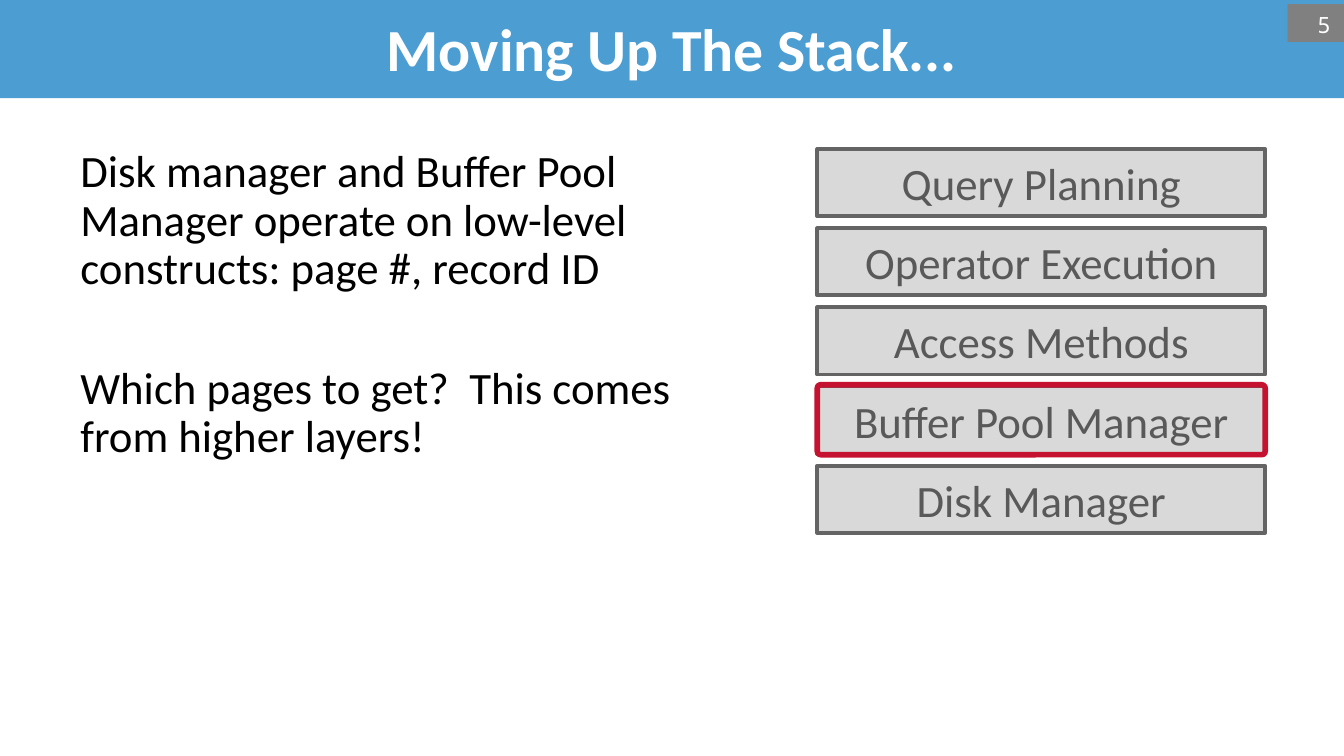
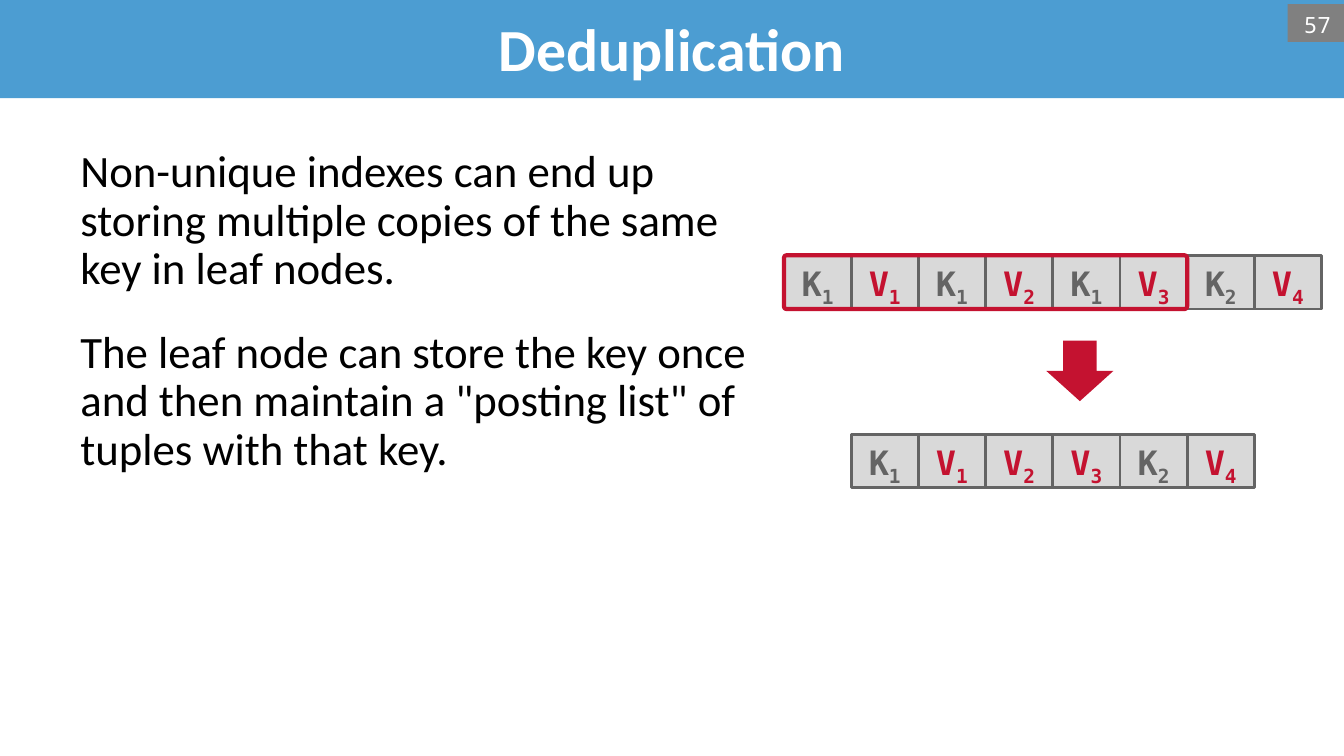
from dataclasses import dataclass

from pptx import Presentation
from pptx.dml.color import RGBColor
from pptx.enum.shapes import MSO_SHAPE
from pptx.enum.text import MSO_ANCHOR, MSO_AUTO_SIZE, PP_ALIGN
from pptx.util import Pt


@dataclass(frozen=True)
class Theme:
    band: RGBColor = RGBColor.from_string("4C9DD2")
    white: RGBColor = RGBColor.from_string("FFFFFF")
    black: RGBColor = RGBColor.from_string("000000")
    badge: RGBColor = RGBColor.from_string("808080")
    box: RGBColor = RGBColor.from_string("D9D9D9")
    outline: RGBColor = RGBColor.from_string("646464")
    label: RGBColor = RGBColor.from_string("595959")
    accent: RGBColor = RGBColor.from_string("C41230")
    text_font: str = "Calibri"
    number_font: str = "Noto Sans Mono"
    cell_font: str = "DejaVu Sans Mono"
    title_size: int = 32
    body_size: int = 24
    cell_size: int = 18
    number_size: int = 12


THEME = Theme()

STACK_SLIDE = {
    "title": "Moving Up The Stack...",
    "number": "5",
    "body": [
        "Disk manager and Buffer Pool Manager operate on low-level constructs: page #, record ID",
        "Which pages to get?  This comes from higher layers!",
    ],
    "gap": 38.4,
}
LAYERS = [
    "Query Planning",
    "Operator Execution",
    "Access Methods",
    "Buffer Pool Manager",
    "Disk Manager",
]
CURRENT_LAYER = "Buffer Pool Manager"

DEDUPLICATION_SLIDE = {
    "title": "Deduplication",
    "number": "57",
    "body": [
        "Non-unique indexes can end up storing multiple copies of the same key in leaf nodes.",
        'The leaf node can store the key once and then maintain a "posting list" of tuples with that key.',
    ],
    "gap": 19.2,
}
LEAF_BEFORE = ["K1", "V1", "K1", "V2", "K1", "V3", "K2", "V4"]
LEAF_AFTER = ["K1", "V1", "V2", "V3", "K2", "V4"]
DUPLICATED_CELLS = 6

SLIDE_WIDTH, SLIDE_HEIGHT = 720, 405
LAYER_LEFT, LAYER_TOP, LAYER_WIDTH, LAYER_HEIGHT = 437.8, 79.9, 240, 36
LAYER_PITCH = 42.4
CELL_WIDTH, CELL_HEIGHT = 36, 28.8
BEFORE_LEFT, BEFORE_TOP = 420, 136.8
AFTER_LEFT, AFTER_TOP = BEFORE_LEFT + CELL_WIDTH, 232.6


def style_font(font, name, size, color, bold=False):
    font.name = name
    font.size = Pt(size)
    font.color.rgb = color
    font.bold = bold


def set_margins(frame, left, top, right, bottom):
    frame.margin_left, frame.margin_top = Pt(left), Pt(top)
    frame.margin_right, frame.margin_bottom = Pt(right), Pt(bottom)


def add_box(shapes, kind, box, fill=None, line=None, line_width=0):
    shape = shapes.add_shape(kind, *map(Pt, box))
    shape.shadow.inherit = False
    if fill is None:
        shape.fill.background()
    else:
        shape.fill.solid()
        shape.fill.fore_color.rgb = fill
    if line is None:
        shape.line.fill.background()
    else:
        shape.line.color.rgb = line
        shape.line.width = Pt(line_width)
    return shape


def add_highlight(slide, box, line_width):
    highlight = add_box(slide.shapes, MSO_SHAPE.ROUNDED_RECTANGLE, box,
                        line=THEME.accent, line_width=line_width)
    highlight.adjustments[0] = 0.05


def add_title(slide, text):
    title = slide.shapes.title
    title.left, title.top, title.width, title.height = map(Pt, (0, -1.4, SLIDE_WIDTH, 54))
    title.fill.solid()
    title.fill.fore_color.rgb = THEME.band
    frame = title.text_frame
    frame.text = text
    frame.auto_size = MSO_AUTO_SIZE.NONE
    frame.vertical_anchor = MSO_ANCHOR.MIDDLE
    paragraph = frame.paragraphs[0]
    paragraph.alignment = PP_ALIGN.CENTER
    style_font(paragraph.font, THEME.text_font, THEME.title_size, THEME.white, True)


def add_body(slide, texts, gap):
    frame = slide.shapes.add_textbox(*map(Pt, (36, 76.3, 374.4, 288))).text_frame
    frame.word_wrap = True
    for index, text in enumerate(texts):
        paragraph = frame.add_paragraph() if index else frame.paragraphs[0]
        paragraph.text = text
        paragraph.line_spacing = 0.9
        if index:
            paragraph.space_before = Pt(gap)
        style_font(paragraph.font, THEME.text_font, THEME.body_size, THEME.black)


def add_number(slide, number):
    badge = add_box(slide.shapes, MSO_SHAPE.RECTANGLE, (689.8, 2.2, 30.2, 20.2), THEME.badge)
    frame = badge.text_frame
    frame.text = number
    frame.vertical_anchor = MSO_ANCHOR.TOP
    paragraph = frame.paragraphs[0]
    paragraph.alignment = PP_ALIGN.RIGHT
    style_font(paragraph.font, THEME.number_font, THEME.number_size, THEME.white)


def add_slide(presentation, content):
    slide = presentation.slides.add_slide(presentation.slide_layouts[5])
    add_title(slide, content["title"])
    add_body(slide, content["body"], content["gap"])
    add_number(slide, content["number"])
    return slide


def add_layers(slide):
    for index, layer in enumerate(LAYERS):
        top = LAYER_TOP + index * LAYER_PITCH
        shape = add_box(slide.shapes, MSO_SHAPE.RECTANGLE,
                        (LAYER_LEFT, top, LAYER_WIDTH, LAYER_HEIGHT),
                        THEME.box, THEME.outline, 2)
        frame = shape.text_frame
        frame.text = layer
        frame.auto_size = MSO_AUTO_SIZE.SHAPE_TO_FIT_TEXT
        frame.vertical_anchor = MSO_ANCHOR.MIDDLE
        set_margins(frame, 3.6, 3.6, 3.6, 3.6)
        paragraph = frame.paragraphs[0]
        paragraph.alignment = PP_ALIGN.CENTER
        style_font(paragraph.font, THEME.text_font, THEME.body_size, THEME.label)
    current_top = LAYER_TOP + LAYERS.index(CURRENT_LAYER) * LAYER_PITCH
    add_highlight(slide, (LAYER_LEFT, current_top - 1, LAYER_WIDTH, LAYER_HEIGHT + 1.5), 3)


def add_leaf(slide, entries, left, top):
    group = slide.shapes.add_group_shape()
    for index, (letter, subscript) in enumerate(entries):
        cell = add_box(group.shapes, MSO_SHAPE.RECTANGLE,
                       (left + index * CELL_WIDTH, top, CELL_WIDTH, CELL_HEIGHT),
                       THEME.box, THEME.outline, 1.5)
        frame = cell.text_frame
        frame.vertical_anchor = MSO_ANCHOR.MIDDLE
        set_margins(frame, 0, 3.6, 0, 0)
        paragraph = frame.paragraphs[0]
        paragraph.alignment = PP_ALIGN.CENTER
        paragraph.line_spacing = 0.8
        paragraph.add_run().text = letter
        lowered = paragraph.add_run()
        lowered.text = subscript
        lowered._r.get_or_add_rPr().set("baseline", "-25000")
        color = THEME.outline if letter == "K" else THEME.accent
        style_font(paragraph.font, THEME.cell_font, THEME.cell_size, color, True)


def add_deduplication(slide):
    arrow = add_box(slide.shapes, MSO_SHAPE.RIGHT_ARROW, (562.3, 180.7, 32.4, 36), THEME.accent)
    arrow.rotation = 90
    add_leaf(slide, LEAF_BEFORE, BEFORE_LEFT, BEFORE_TOP)
    add_highlight(slide, (BEFORE_LEFT, BEFORE_TOP, DUPLICATED_CELLS * CELL_WIDTH, CELL_HEIGHT), 2.25)
    add_leaf(slide, LEAF_AFTER, AFTER_LEFT, AFTER_TOP)


def main():
    presentation = Presentation()
    presentation.slide_width = Pt(SLIDE_WIDTH)
    presentation.slide_height = Pt(SLIDE_HEIGHT)
    add_layers(add_slide(presentation, STACK_SLIDE))
    add_deduplication(add_slide(presentation, DEDUPLICATION_SLIDE))
    presentation.save("out.pptx")


if __name__ == "__main__":
    main()
